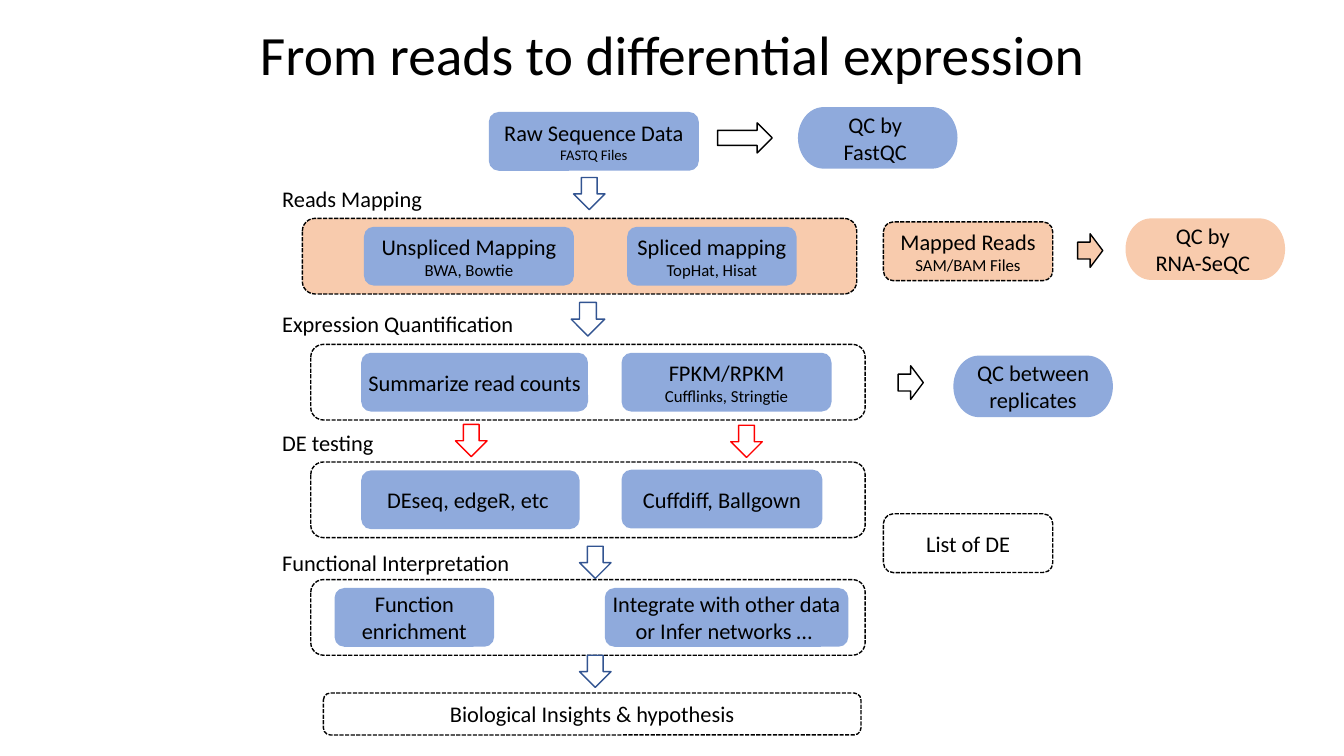
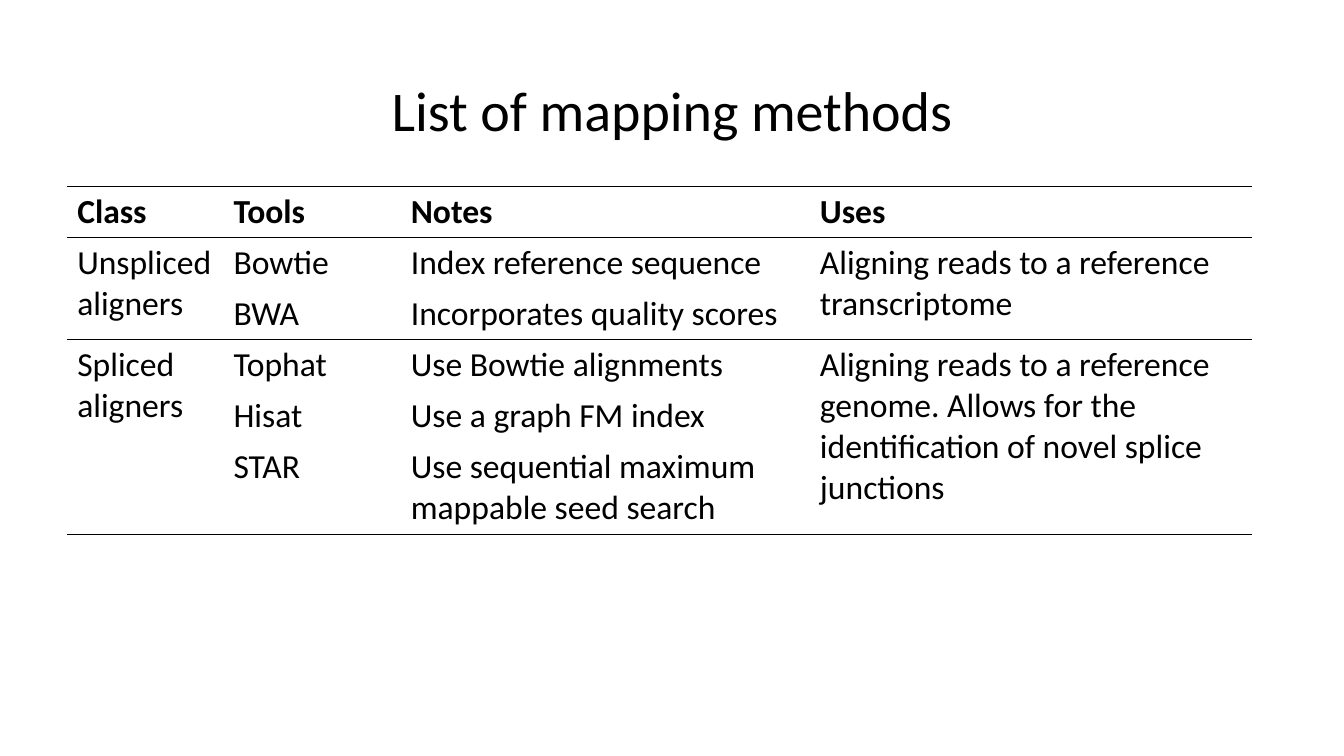
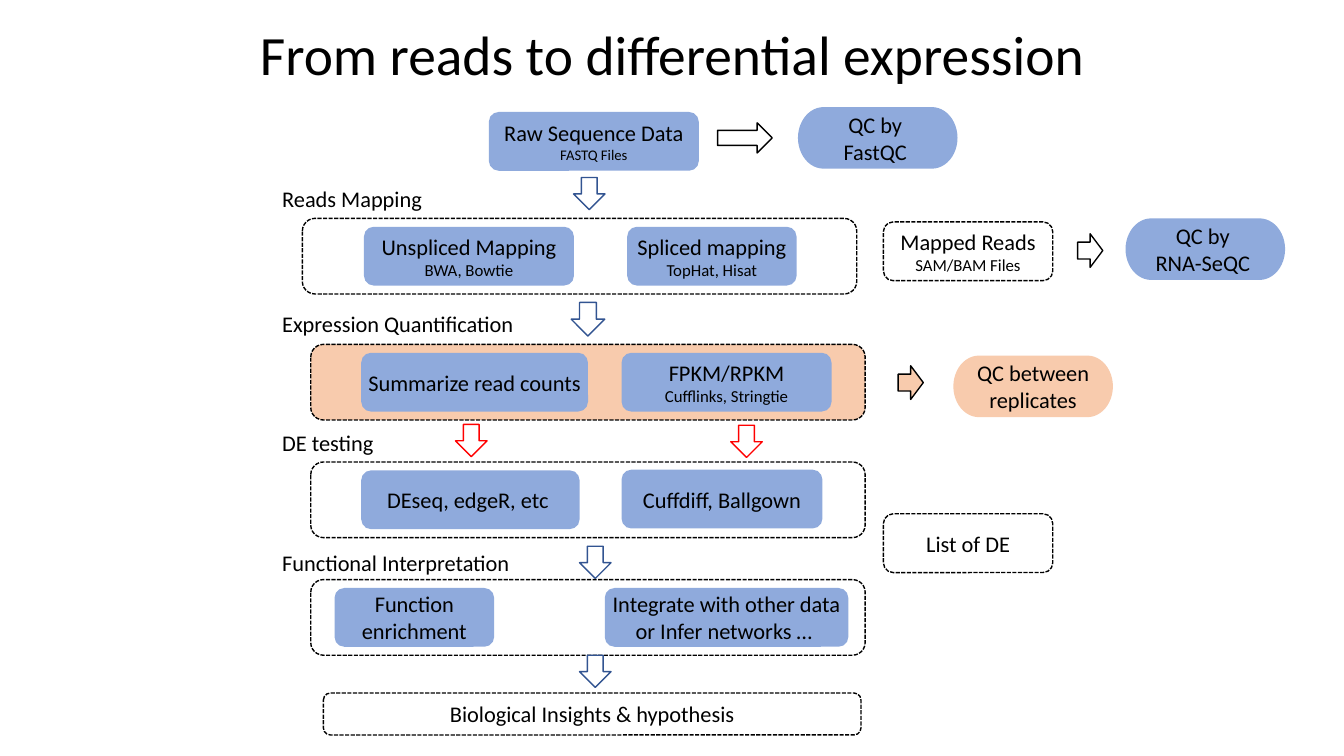
from dataclasses import dataclass
from typing import Any, Optional

from lxml import etree
from pptx import Presentation
from pptx.dml.color import RGBColor
from pptx.enum import dml, shapes, text
from pptx.oxml import ns
from pptx.util import Pt

BLACK, BLUE, PEACH, NAVY, RED = "000000", "8FAADC", "F8CBAD", "325491", "FF0000"
FONT = "Calibri"
TITLE_ONLY = 5
NO_STYLE_TABLE = "{2D5ABB26-0587-4C30-8999-92F81FD0307C}"
SHAPE = shapes.MSO_SHAPE

FRAME = {
    "margin_left": 0, "margin_right": 0, "margin_top": 0, "margin_bottom": 0,
    "word_wrap": True, "auto_size": text.MSO_AUTO_SIZE.NONE,
    "vertical_anchor": text.MSO_ANCHOR.MIDDLE,
}


@dataclass(frozen=True)
class Look:
    outline: SHAPE
    fill: Optional[str] = None
    line: Optional[str] = None
    dashed: bool = False
    align: text.PP_ALIGN = text.PP_ALIGN.CENTER


@dataclass(frozen=True)
class Node:
    """One part of the workflow; stage names the highlight it belongs to."""
    look: Look
    left: float
    top: float
    width: float
    height: float
    lines: tuple[str, ...] = ()
    detail_size: float = 16
    stage: str = ""


PANEL = Look(SHAPE.ROUNDED_RECTANGLE, line=BLACK, dashed=True)
BOX = Look(SHAPE.ROUNDED_RECTANGLE, fill=BLUE)
LABEL = Look(SHAPE.RECTANGLE, align=text.PP_ALIGN.LEFT)
CHECK = Look(SHAPE.FLOWCHART_TERMINATOR, fill=BLUE)
STEP = Look(SHAPE.DOWN_ARROW, line=NAVY)
BRANCH = Look(SHAPE.DOWN_ARROW, line=RED)
SIDE = Look(SHAPE.RIGHT_ARROW, line=BLACK)


def panel(left: float, top: float, stage: str = "") -> Node:
    return Node(PANEL, left, top, 396, 54, stage=stage)


def box(left: float, top: float, width: float, *lines: str, detail: float = 12) -> Node:
    return Node(BOX, left, top, width, 42, lines, detail)


def label(top: float, caption: str) -> Node:
    return Node(LABEL, 201.6, top, 199, 42, (caption,))


def check(left: float, top: float, *lines: str, stage: str = "") -> Node:
    return Node(CHECK, left, top, 114, 44, lines, stage=stage)


def arrow(look: Look, left: float, top: float, width: float = 22.5,
          height: float = 23, stage: str = "") -> Node:
    return Node(look, left, top, width, height, stage=stage)


WORKFLOW = [
    panel(216, 156, "mapping"),
    panel(222, 246, "quantification"),
    panel(222, 330),
    panel(222, 414),
    label(121, "Reads Mapping"),
    label(210, "Expression Quantification"),
    label(295, "DE testing"),
    label(381, "Functional Interpretation"),
    box(349.2, 80, 150, "Raw Sequence Data", "FASTQ Files", detail=10.5),
    box(260, 162, 150, "Unspliced Mapping", "BWA, Bowtie"),
    box(448, 162, 121, "Spliced mapping", "TopHat, Hisat"),
    box(258, 252, 162, "Summarize read counts"),
    box(444, 252, 150, "FPKM/RPKM", "Cufflinks, Stringtie"),
    box(258, 336, 156, "DEseq, edgeR, etc "),
    box(444, 335.5, 143.5, "Cuffdiff, Ballgown"),
    box(239, 420, 114, "Function enrichment"),
    box(432, 420, 174, "Integrate with other data or Infer networks … "),
    Node(PANEL, 631, 158.5, 121, 42, ("Mapped Reads", "SAM/BAM Files"), 12, "mapping"),
    Node(PANEL, 631, 367, 121, 42, ("List of DE",)),
    Node(PANEL, 231, 495, 384, 30, ("Biological Insights & hypothesis",)),
    check(570, 76.5, "QC by ", "FastQC "),
    check(804, 156, "QC by ", "RNA-SeQC ", stage="mapping"),
    check(681, 254, "QC between", "replicates", stage="quantification"),
    arrow(STEP, 409.7, 126.8),
    arrow(STEP, 408, 216, 24, 24),
    arrow(STEP, 414, 390.2),
    arrow(STEP, 414, 468),
    arrow(BRANCH, 325.4, 303.1),
    arrow(BRANCH, 522, 303.8),
    arrow(SIDE, 512.6, 87.8, 39, 21.5),
    arrow(SIDE, 769.7, 167, 18, 24, "mapping"),
    arrow(SIDE, 641.5, 261.3, 18, 24, "quantification"),
]

METHODS = [
    ["Class", "Tools", "Notes", "Uses"],
    ["Unspliced\naligners", "Bowtie", "Index reference sequence",
     "Aligning reads to a reference transcriptome"],
    ["", "BWA", "Incorporates quality scores", ""],
    ["Spliced aligners", "Tophat", "Use Bowtie alignments",
     "Aligning reads to a reference genome. Allows for the identification "
     "of novel splice junctions"],
    ["", "Hisat", "Use a graph FM index", ""],
    ["", "STAR", "Use sequential maximum mappable seed search", ""],
]
COLUMN_WIDTHS = [111.6, 126.7, 292.2, 316]
ROW_HEIGHTS = [32, 32, 32, 32, 32, 53]
GROUPS = [(1, 2), (3, 5)]
RULED_EDGES = {0, 1, 3, 6}


def color(value: str) -> RGBColor:
    return RGBColor.from_string(value)


def apply_format(target: Any, values: dict[str, Any]) -> None:
    for name, value in values.items():
        setattr(target, name, value)


def style_font(font: Any, size: float, bold: bool = False) -> None:
    apply_format(font, {"name": FONT, "size": Pt(size), "bold": bold})
    font.color.rgb = color(BLACK)


def add_titled_page(deck: Any, title: str, size: float,
                    left: float, top: float, width: float, height: float) -> Any:
    page = deck.slides.add_slide(deck.slide_layouts[TITLE_ONLY])
    holder = page.shapes.title
    apply_format(holder, {"left": Pt(left), "top": Pt(top),
                          "width": Pt(width), "height": Pt(height)})
    apply_format(holder.text_frame, FRAME)
    holder.text_frame.text = title
    para = holder.text_frame.paragraphs[0]
    apply_format(para, {"alignment": text.PP_ALIGN.CENTER, "line_spacing": 0.9})
    style_font(para.font, size)
    return page


def draw_node(page: Any, node: Node, highlight: str) -> None:
    place = [Pt(value) for value in (node.left, node.top, node.width, node.height)]
    look = node.look
    if look is LABEL:
        shape = page.shapes.add_textbox(*place)
    else:
        shape = page.shapes.add_shape(look.outline, *place)
        shape.shadow.inherit = False
        fill = PEACH if node.stage == highlight else look.fill
        if fill:
            shape.fill.solid()
            shape.fill.fore_color.rgb = color(fill)
        else:
            shape.fill.background()
        if look.line:
            shape.line.color.rgb = color(look.line)
            shape.line.width = Pt(1)
        else:
            shape.line.fill.background()
        if look.dashed:
            shape.line.dash_style = dml.MSO_LINE.SQUARE_DOT
    if node.lines:
        apply_format(shape.text_frame, FRAME)
        shape.text_frame.text = "\n".join(node.lines)
        for index, para in enumerate(shape.text_frame.paragraphs):
            para.alignment = look.align
            style_font(para.font, node.detail_size if index else 16)


def add_workflow_page(deck: Any, highlight: str) -> None:
    page = add_titled_page(deck, "From reads to differential expression", 39.6,
                           156, -3.6, 648, 90)
    for node in WORKFLOW:
        draw_node(page, node, highlight)


def add_border(cell: Any, side: str, ruled: bool) -> None:
    """Add one edge line; side is the DrawingML tag, such as a:lnT."""
    edge = etree.SubElement(cell._tc.get_or_add_tcPr(), ns.qn(side), w=str(Pt(1)))
    if ruled:
        paint = etree.SubElement(edge, ns.qn("a:solidFill"))
        etree.SubElement(paint, ns.qn("a:srgbClr"), val=BLACK)
    else:
        etree.SubElement(edge, ns.qn("a:noFill"))


def add_methods_page(deck: Any) -> None:
    page = add_titled_page(deck, "List of mapping methods", 40, 66, 28.8, 828, 104.4)
    frame = page.shapes.add_table(len(METHODS), len(COLUMN_WIDTHS), Pt(48), Pt(133.2),
                                  Pt(sum(COLUMN_WIDTHS)), Pt(sum(ROW_HEIGHTS)))
    table = frame.table
    apply_format(table, {"first_row": False, "horz_banding": False})
    table._tbl.tblPr.find(ns.qn("a:tableStyleId")).text = NO_STYLE_TABLE
    for column, width in zip(table.columns, COLUMN_WIDTHS):
        column.width = Pt(width)
    for row, height in zip(table.rows, ROW_HEIGHTS):
        row.height = Pt(height)
    for first, last in GROUPS:
        for column in (0, 3):
            table.cell(first, column).merge(table.cell(last, column))
    for row, entries in enumerate(METHODS):
        for column, entry in enumerate(entries):
            cell = table.cell(row, column)
            add_border(cell, "a:lnT", row in RULED_EDGES)
            add_border(cell, "a:lnB", row + cell.span_height in RULED_EDGES)
            cell.fill.background()
            if entry:
                cell.text = entry
                for para in cell.text_frame.paragraphs:
                    style_font(para.font, 24, bold=row == 0)


def main() -> None:
    deck = Presentation()
    apply_format(deck, {"slide_width": Pt(960), "slide_height": Pt(540)})
    add_workflow_page(deck, "mapping")
    add_methods_page(deck)
    add_workflow_page(deck, "quantification")
    deck.save("out.pptx")


if __name__ == "__main__":
    main()
